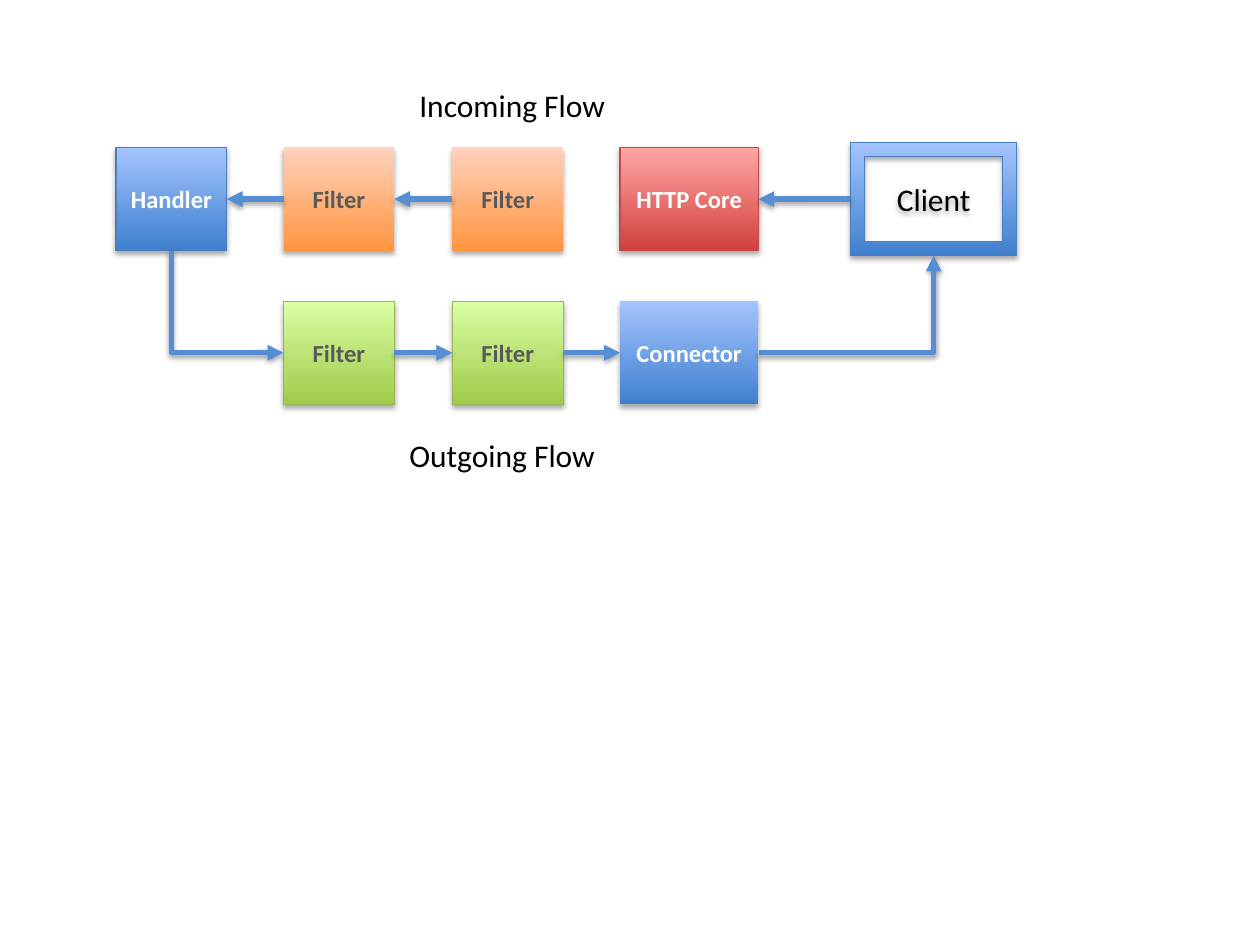
import pptx
import pptx.util
import pptx.dml.color
import pptx.enum.dml
import pptx.enum.shapes
import pptx.enum.text
import pptx.oxml.ns
import lxml.etree

Inches = pptx.util.Inches
Pt = pptx.util.Pt
RGB = pptx.dml.color.RGBColor.from_string
qn = pptx.oxml.ns.qn
SHAPE = pptx.enum.shapes.MSO_SHAPE

COLORS = {
    "blue": "3F80CE", "blue_light": "A4C4FF", "blue_edge": "4B7EBC",
    "green": "A0CA4A", "green_light": "DAFFA5", "green_edge": "98B955",
    "orange": "FF953E", "orange_light": "FFD2BD",
    "red": "D1403C", "red_light": "FFA6A5", "red_edge": "BF4C48",
    "arrow": "558ED5", "white": "FFFFFF", "gray": "595959", "black": "000000",
}


def add_shadow(part, opacity, distance):
    effects = part.element.spPr.find(qn("a:effectLst"))
    if effects is None:
        effects = lxml.etree.SubElement(part.element.spPr, qn("a:effectLst"))
    shadow = lxml.etree.SubElement(
        effects, qn("a:outerShdw"), blurRad=str(Pt(3.15)), dist=str(Pt(distance)),
        dir="5400000", rotWithShape="0")
    color = lxml.etree.SubElement(shadow, qn("a:srgbClr"), val=COLORS["black"])
    lxml.etree.SubElement(color, qn("a:alpha"), val=str(opacity * 1000))


def add_label(paragraph, wording, size, color, bold):
    run = paragraph.add_run()
    run.text = wording
    run.font.name = "Calibri"
    run.font.size = Pt(size)
    run.font.bold = bold
    run.font.color.rgb = RGB(COLORS[color])


deck = pptx.Presentation()
deck.slide_width = Inches(10)
deck.slide_height = Inches(7.5)
slide = deck.slides.add_slide(deck.slide_layouts[6])

INCOMING_TOP, OUTGOING_TOP = 1.17, 2.39
HANDLER_LEFT, FILTER_1_LEFT, FILTER_2_LEFT, CORE_LEFT = 0.92, 2.25, 3.59, 4.92
STAGE_WIDTH, CORE_WIDTH, STAGE_HEIGHT = 0.88, 1.1, 0.82

stages = [
    ("handler", "Handler", HANDLER_LEFT, INCOMING_TOP, STAGE_WIDTH, "blue", True, "white"),
    ("in_1", "Filter", FILTER_1_LEFT, INCOMING_TOP, STAGE_WIDTH, "orange", False, "gray"),
    ("in_2", "Filter", FILTER_2_LEFT, INCOMING_TOP, STAGE_WIDTH, "orange", False, "gray"),
    ("core", "HTTP Core", CORE_LEFT, INCOMING_TOP, CORE_WIDTH, "red", True, "white"),
    ("out_1", "Filter", FILTER_1_LEFT, OUTGOING_TOP, STAGE_WIDTH, "green", True, "gray"),
    ("out_2", "Filter", FILTER_2_LEFT, OUTGOING_TOP, STAGE_WIDTH, "green", True, "gray"),
    ("connector", "Connector", CORE_LEFT, OUTGOING_TOP, CORE_WIDTH, "blue", False, "white"),
    ("client", "Client", 6.75, 1.13, 1.32, "blue", True, "black"),
]

flow = {}
for key, wording, left, top, width, hue, outlined, ink in stages:
    is_client = key == "client"
    stage = slide.shapes.add_shape(
        SHAPE.FRAME if is_client else SHAPE.RECTANGLE,
        Inches(left), Inches(top), Inches(width),
        Inches(0.9 if is_client else STAGE_HEIGHT))
    stage.fill.gradient()
    stage.fill.gradient_angle = 90
    for stop, shade in zip(stage.fill.gradient_stops, (hue, hue + "_light")):
        stop.color.rgb = RGB(COLORS[shade])
    if outlined:
        stage.line.color.rgb = RGB(COLORS[hue + "_edge"])
        stage.line.width = Pt(0.75)
    else:
        stage.line.fill.background()
    stage.shadow.inherit = False
    add_shadow(stage, 35, 1.8)
    stage.text_frame.vertical_anchor = pptx.enum.text.MSO_ANCHOR.MIDDLE
    paragraph = stage.text_frame.paragraphs[0]
    paragraph.alignment = pptx.enum.text.PP_ALIGN.CENTER
    add_label(paragraph, wording, 18 if is_client else 14, ink, not is_client)
    flow[key] = stage

TOP, LEFT, BOTTOM, RIGHT = range(4)
links = [
    ("out_1", RIGHT, "out_2", LEFT, "bentConnector3", "a:tailEnd"),
    ("out_2", RIGHT, "connector", LEFT, "bentConnector3", "a:tailEnd"),
    ("handler", RIGHT, "in_1", LEFT, "bentConnector3", "a:headEnd"),
    ("in_1", RIGHT, "in_2", LEFT, "bentConnector3", "a:headEnd"),
    ("client", LEFT, "core", RIGHT, "bentConnector3", "a:tailEnd"),
    ("connector", RIGHT, "client", BOTTOM, "bentConnector2", "a:tailEnd"),
    ("out_1", LEFT, "handler", BOTTOM, "bentConnector2", "a:headEnd"),
]
for start, start_side, end, end_side, bend, arrow_end in links:
    link = slide.shapes.add_connector(
        pptx.enum.shapes.MSO_CONNECTOR.ELBOW, Inches(0), Inches(0), Inches(0), Inches(0))
    link.begin_connect(flow[start], start_side)
    link.end_connect(flow[end], end_side)
    link.element.spPr.find(qn("a:prstGeom")).set("prst", bend)
    link.line.color.rgb = RGB(COLORS["arrow"])
    link.line.width = Pt(3)
    lxml.etree.SubElement(link.element.spPr.find(qn("a:ln")), qn(arrow_end), type="triangle")
    add_shadow(link, 38, 1.6)

for wording, left, top in [("Incoming Flow", 3.23, 0.63), ("Outgoing Flow", 3.15, 3.41)]:
    caption = slide.shapes.add_textbox(Inches(left), Inches(top), Inches(1.69), Inches(0.4))
    caption.text_frame.word_wrap = False
    caption.text_frame.auto_size = pptx.enum.text.MSO_AUTO_SIZE.SHAPE_TO_FIT_TEXT
    add_label(caption.text_frame.paragraphs[0], wording, 18, "black", False)

deck.save("out.pptx")
